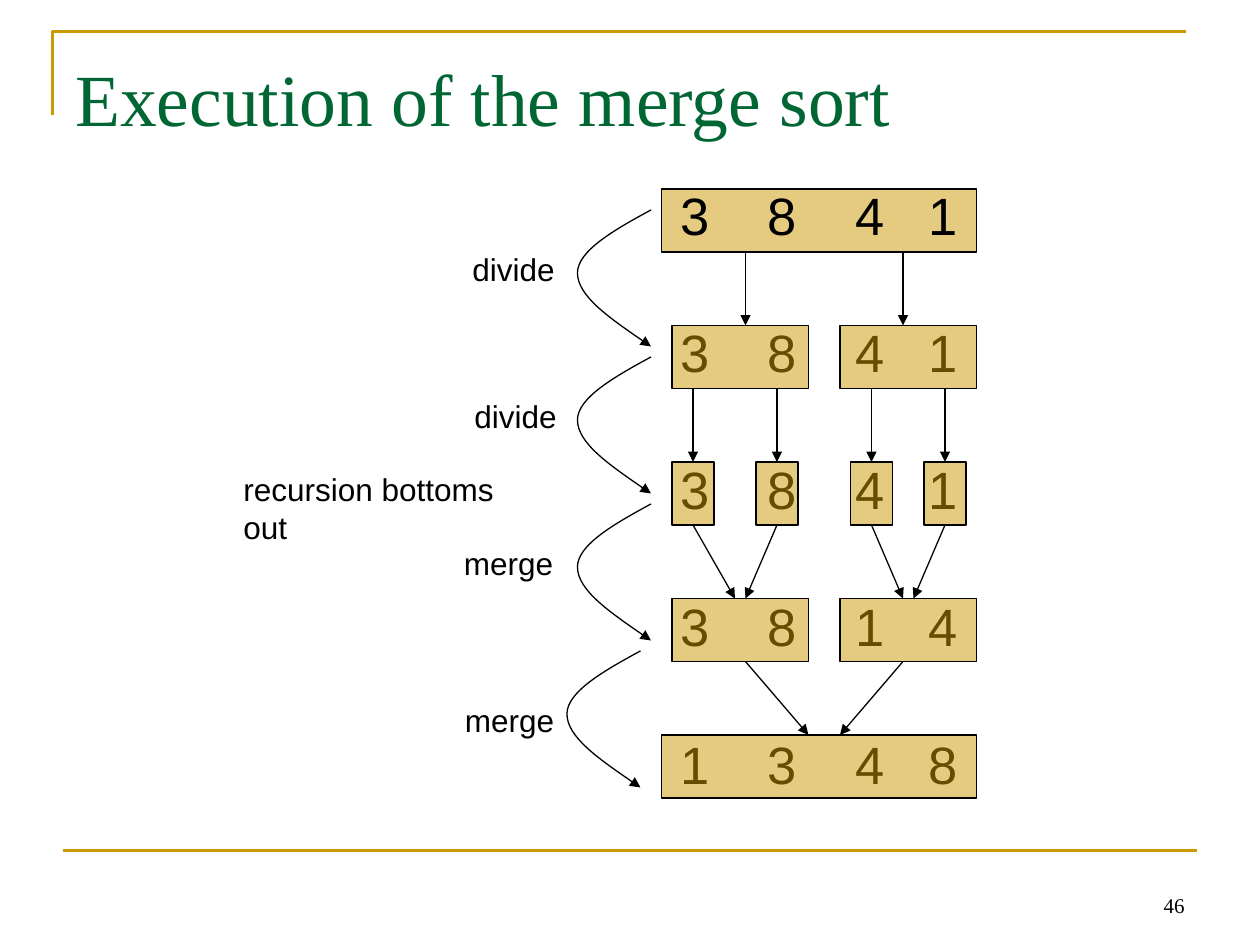
"""Build a slide that traces merge sort on four numbers."""
from lxml.etree import SubElement
from pptx import Presentation
from pptx.dml.color import RGBColor
from pptx.enum.shapes import MSO_CONNECTOR as Connector, MSO_SHAPE as Shape
from pptx.enum.text import MSO_ANCHOR as Anchor, PP_ALIGN as Align
from pptx.oxml.ns import qn
from pptx.util import Pt

PX = 7620
COLORS = {"gold": "CC9900", "green": "006633", "ink": "000000"}
SERIF, SANS = "Times New Roman", "Arial"

TITLE = "Execution of the merge sort"
PAGE_NUMBER = "46"
ROWS = ["3841", "3841", "3841", "3814", "1348"]
DIGIT_TABS = [83, 167, 236]

WHOLE = [(630, 300)]
HALVES = [(640, 130), (800, 130)]
SINGLES = [(left, 40) for left in (640, 720, 810, 880)]
BOX_ROWS = [WHOLE, HALVES, SINGLES, HALVES, WHOLE]
ROW_TOP, ROW_PITCH, BOX_HEIGHT = 180, 130, 60

ARROW_ROWS = [
    [(710, 710), (860, 860)],
    [(660, 660), (740, 740), (830, 830), (900, 900)],
    [(660, 700), (740, 710), (830, 860), (900, 870)],
    [(710, 770), (860, 800)],
]
LABELS = [
    ("divide", 438, 232, 102),
    ("divide", 440, 372, 102),
    ("merge", 430, 512, 109),
    ("merge", 431, 662, 109),
    ("recursion bottoms out", 220, 442, 312),
]
CURVE_LEFTS = [550, 550, 550, 540]
CURVE_TOP, CURVE_PITCH = 200, 140
CURVE = [(70, 0), (35, 19), (0, 39), (0, 60), (0, 82), (35, 106), (70, 130)]
FRAME = [(50, 110), (50, 30), (1130, 30)]


def color(name):
    return RGBColor.from_string(COLORS[name])


def add_text(slide, lines, box, *, size, font=SANS, ink="ink", align=Align.LEFT,
             anchor=Anchor.TOP, wrap=True, inset=(12, 6), spacing=1, gap=0, tabs=()):
    shape = slide.shapes.add_textbox(*(value * PX for value in box))
    frame = shape.text_frame
    frame.word_wrap, frame.vertical_anchor = wrap, anchor
    frame.margin_left, frame.margin_top = (value * PX for value in inset)
    for index, line in enumerate(lines):
        paragraph = frame.add_paragraph() if index else frame.paragraphs[0]
        paragraph.alignment, paragraph.line_spacing = align, spacing
        paragraph.space_before = Pt(gap if index else 0)
        if tabs:
            stops = SubElement(paragraph._p.get_or_add_pPr(), qn("a:tabLst"))
            for position in tabs:
                SubElement(stops, qn("a:tab"), pos=str(position * PX), algn="l")
        run = paragraph.add_run()
        run.text = line
        run.font.name, run.font.size = font, Pt(size)
        run.font.color.rgb = color(ink)


def style_line(shape, name, width, arrow=False):
    shape.line.color.rgb = color(name)
    shape.line.width = Pt(width)
    if arrow:
        SubElement(shape.line._get_or_add_ln(), qn("a:tailEnd"), type="triangle")


def add_line(slide, start, end, name="ink", width=0.75, arrow=False):
    points = [value * PX for value in (*start, *end)]
    line = slide.shapes.add_connector(Connector.STRAIGHT, *points)
    style_line(line, name, width, arrow)
    SubElement(line._element.spPr, qn("a:effectLst"))


def add_outline(slide, points, name="ink", width=0.75, arrow=False):
    builder = slide.shapes.build_freeform(*points[0], scale=PX)
    builder.add_line_segments(points[1:], close=False)
    shape = builder.convert_to_shape()
    shape.shadow.inherit = False
    shape.fill.background()
    style_line(shape, name, width, arrow)
    return shape


def add_curve(slide, left, top):
    points = [(left + x, top + y) for x, y in CURVE]
    shape = add_outline(slide, points, arrow=True)
    outline = shape._element.find(".//" + qn("a:path"))
    segments = outline.findall(qn("a:lnTo"))
    for group in (segments[:3], segments[3:]):
        bezier = SubElement(outline, qn("a:cubicBezTo"))
        for segment in group:
            bezier.append(segment[0])
            outline.remove(segment)


def add_box(slide, left, top, width):
    bounds = [value * PX for value in (left, top, width, BOX_HEIGHT)]
    shape = slide.shapes.add_shape(Shape.RECTANGLE, *bounds)
    shape.shadow.inherit = False
    shape.fill.solid()
    shape.fill.fore_color.rgb = color("gold")
    fill = shape._element.spPr.find(qn("a:solidFill"))
    SubElement(fill[0], qn("a:alpha"), val="50000")
    style_line(shape, "ink", 0.75)


def main():
    presentation = Presentation()
    presentation.slide_width, presentation.slide_height = 1200 * PX, 900 * PX
    slide = presentation.slides.add_slide(presentation.slide_layouts[6])

    add_outline(slide, FRAME, "gold", 1.5)
    add_line(slide, (60, 810), (1140, 810), "gold", 1.5)
    add_text(slide, [PAGE_NUMBER], (860, 820, 280, 60), size=12, font=SERIF,
             align=Align.RIGHT, anchor=Anchor.BOTTOM)

    tops = [ROW_TOP + ROW_PITCH * row for row in range(len(ROWS))]
    boxes = [(left, top, width) for top, row in zip(tops, BOX_ROWS) for left, width in row]
    add_box(slide, *boxes[0])
    add_text(slide, [TITLE], (60, 36, 1080, 150), size=42, font=SERIF, ink="green",
             inset=(12, 14))
    add_text(slide, ["\t".join(row) for row in ROWS], (240, 175, 1080, 594), size=30,
             inset=(408, 6), spacing=0.9, gap=46, tabs=DIGIT_TABS)
    for box in boxes[1:]:
        add_box(slide, *box)

    for top, next_top, arrows in zip(tops, tops[1:], ARROW_ROWS):
        for start, end in arrows:
            add_line(slide, (start, top + BOX_HEIGHT), (end, next_top), arrow=True)
    for index, left in enumerate(CURVE_LEFTS):
        add_curve(slide, left, CURVE_TOP + CURVE_PITCH * index)
    for label, left, top, width in LABELS:
        add_text(slide, [label], (left, top, width, 48), size=18, wrap=False)

    presentation.save("out.pptx")


if __name__ == "__main__":
    main()
